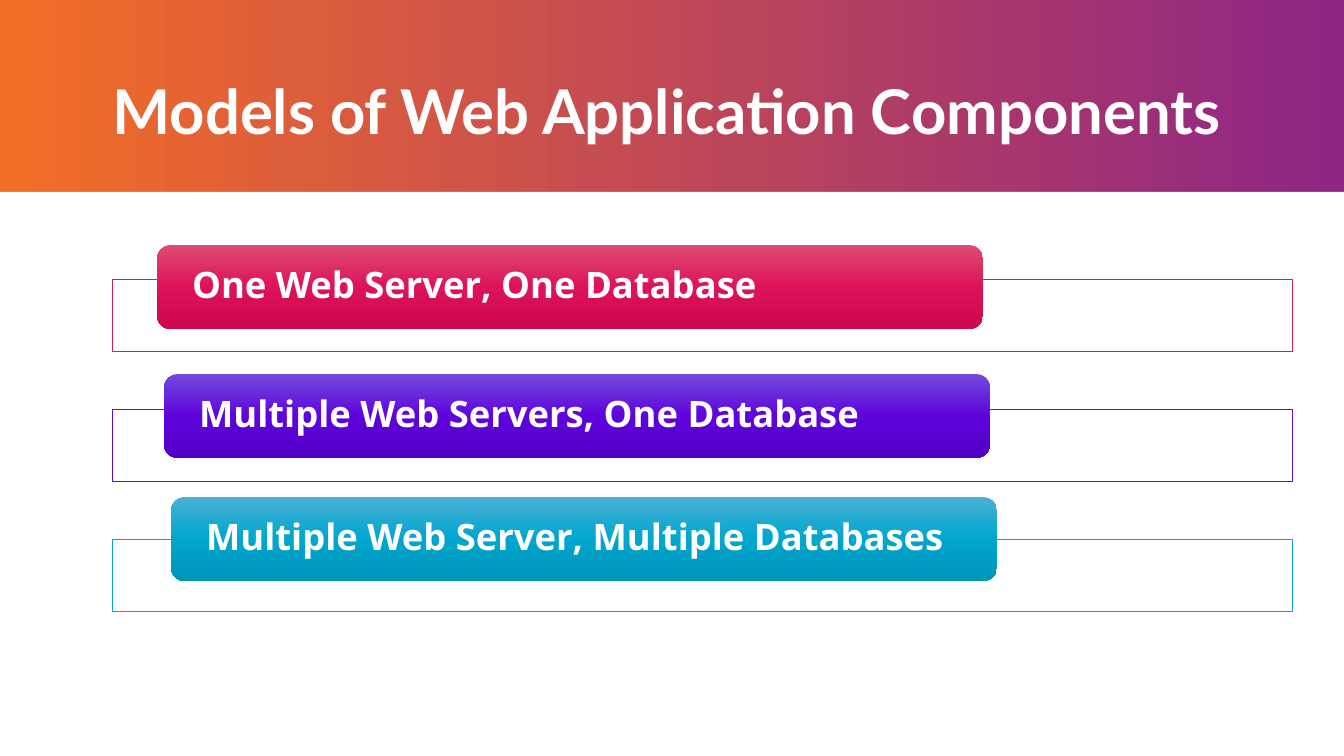
from lxml import etree
from pptx import Presentation
from pptx.dml.color import RGBColor
from pptx.enum.shapes import MSO_SHAPE
from pptx.enum.text import MSO_ANCHOR, PP_ALIGN
from pptx.oxml.ns import qn
from pptx.util import Pt

RECT = MSO_SHAPE.RECTANGLE
ROUND = MSO_SHAPE.ROUNDED_RECTANGLE
TOP = MSO_ANCHOR.TOP
MIDDLE = MSO_ANCHOR.MIDDLE
LEFT = PP_ALIGN.LEFT
CENTER = PP_ALIGN.CENTER
SCALE = 914400 / 100.8
WHITE = "FFFFFF"


def px(count):
    return round(count * SCALE)


def color(code):
    return RGBColor.from_string(code)


class Deck:
    head = "Lato"
    body = "Open Sans"

    def __init__(self, width, height):
        self.file = Presentation()
        self.file.slide_width = px(width)
        self.file.slide_height = px(height)
        self.slide = self.file.slides.add_slide(self.file.slide_layouts[6])

    def blend(self, fill, node, codes, angle):
        fill.gradient()
        fill.gradient_angle = angle
        stops = node.find(".//" + qn("a:gsLst"))
        for old in list(stops):
            stops.remove(old)
        step = 100000 // (len(codes) - 1)
        for index, code in enumerate(codes):
            stop = etree.SubElement(stops, qn("a:gs"), pos=str(index * step))
            etree.SubElement(stop, qn("a:srgbClr"), val=code)

    def back(self, codes):
        self.blend(self.slide.background.fill, self.slide.element, codes, 0)

    def shape(self, kind, box):
        shape = self.slide.shapes.add_shape(kind, *map(px, box))
        shape.shadow.inherit = False
        shape.line.fill.background()
        return shape

    def panel(self, box):
        panel = self.shape(RECT, box)
        panel.fill.solid()
        panel.fill.fore_color.rgb = color(WHITE)
        return panel

    def frame(self, box, edge):
        frame = self.panel(box)
        tint = frame.element.spPr.find(qn("a:solidFill"))[0]
        etree.SubElement(tint, qn("a:alpha"), val="90000")
        frame.line.color.rgb = color(edge)
        frame.line.width = Pt(0.5)

    def bar(self, box, text, codes):
        bar = self.shape(ROUND, box)
        self.blend(bar.fill, bar.element, codes, 270)
        self.label(bar, text, self.body, 26, LEFT, MIDDLE, (31, 0, 31, 0))

    def title(self, box, text):
        title = self.slide.shapes.add_textbox(*map(px, box))
        self.label(title, text, self.head, 44, CENTER, TOP, (0, 5, 10, 5))

    def label(self, shape, text, face, size, align, anchor, inset):
        frame = shape.text_frame
        frame.word_wrap = True
        frame.vertical_anchor = anchor
        (frame.margin_left, frame.margin_top,
         frame.margin_right, frame.margin_bottom) = map(px, inset)
        line = frame.paragraphs[0]
        line.text = text
        line.alignment = align
        line.line_spacing = 0.9
        line.font.name = face
        line.font.size = Pt(size)
        line.font.bold = True
        line.font.color.rgb = color(WHITE)


MODELS = [
    ("One Web Server, One Database", 245, "D41B5D",
     ("DD4D71", "DD125A", "CD084E")),
    ("Multiple Web Servers, One Database", 374, "5F0DD2",
     ("734BDC", "5E03DC", "5300C6")),
    ("Multiple Web Server, Multiple Databases", 497, "00A6CE",
     ("4BB0D5", "00A6CE", "0094B7")),
]


def main():
    deck = Deck(1344, 756)
    deck.back(("F26D26", "8F2585"))
    deck.panel((0, 192, 1344, 564))
    for row, (text, top, edge, codes) in enumerate(MODELS):
        deck.frame((112, 279 + 130 * row, 1180, 72), edge)
        deck.bar((157 + 7 * row, top, 826, 84), text, codes)
    deck.title((76, 76, 1192, 76), "Models of Web Application Components")
    deck.file.save("out.pptx")


if __name__ == "__main__":
    main()
